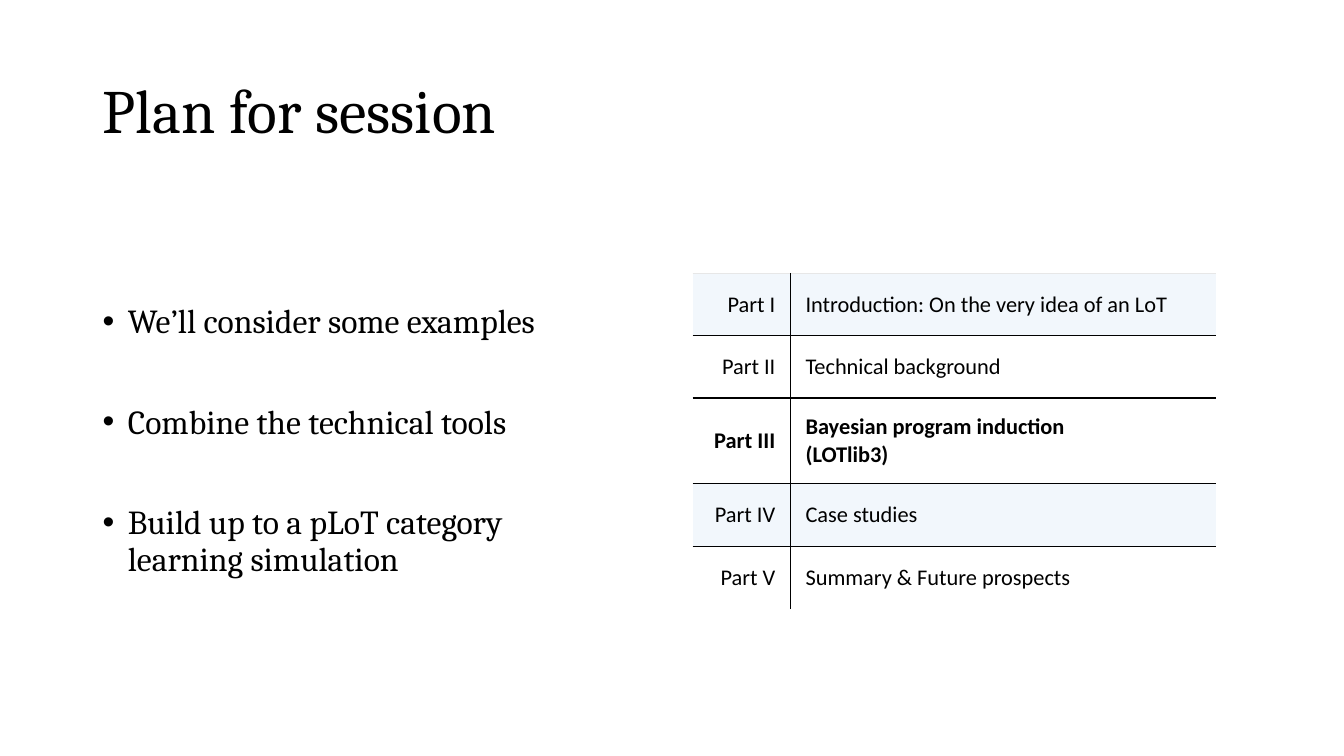
from lxml.etree import SubElement
from pptx import Presentation
from pptx.dml.color import RGBColor
from pptx.enum.text import MSO_ANCHOR, PP_ALIGN
from pptx.oxml.ns import qn
from pptx.util import Inches, Pt

BLACK, WHITE, PALE, GREY = "000000", "FFFFFF", "F2F7FC", "E7E7E7"
TITLE_FONT = {"name": "Cambria", "size": Pt(44), "bold": False}
BODY_FONT = {"name": "Cambria", "size": Pt(24)}
TABLE_FONT = {"name": "Calibri", "size": Pt(16), "bold": False}
MIDDLE = {"word_wrap": True, "vertical_anchor": MSO_ANCHOR.MIDDLE}

BULLETS = [
    "We’ll consider some examples",
    "Combine the technical tools",
    "Build up to a pLoT category learning simulation",
]
PARTS = [
    ("Part I", "Introduction: On the very idea of an LoT", PALE),
    ("Part II", "Technical background", WHITE),
    ("Part III", "Bayesian program induction\n(LOTlib3)", WHITE),
    ("Part IV", "Case studies", PALE),
    ("Part V", "Summary & Future prospects", WHITE),
]
CURRENT_PART = "Part III"


def color(value):
    return RGBColor.from_string(value)


def apply(target, values):
    for name, value in values.items():
        setattr(target, name, value)


def format_font(paragraph, values):
    apply(paragraph.font, values)
    paragraph.font.color.rgb = color(BLACK)


def place(shape, left, top, width, height):
    apply(shape, {
        "left": Inches(left), "top": Inches(top),
        "width": Inches(width), "height": Inches(height),
    })


def add_title(slide, text, box):
    title = slide.shapes.title
    place(title, *box)
    apply(title.text_frame, MIDDLE)
    title.text_frame.text = text
    paragraph = title.text_frame.paragraphs[0]
    apply(paragraph, {"alignment": PP_ALIGN.LEFT, "line_spacing": 0.9})
    format_font(paragraph, TITLE_FONT)


def add_bullets(slide, texts, box):
    frame = slide.shapes.add_textbox(*map(Inches, box)).text_frame
    apply(frame, MIDDLE)
    frame.text = "\n".join(texts)
    for index, paragraph in enumerate(frame.paragraphs):
        paragraph.line_spacing = 0.9
        if index:
            paragraph.space_before = Pt(46)
        properties = paragraph._p.get_or_add_pPr()
        properties.set("marL", str(Inches(0.25)))
        properties.set("indent", str(-Inches(0.25)))
        SubElement(properties, qn("a:buFont"), typeface="Arial")
        SubElement(properties, qn("a:buChar"), char="•")
        format_font(paragraph, BODY_FONT)


def set_borders(cell, borders):
    properties = cell._tc.get_or_add_tcPr()
    for side in "LRTB":
        width, line_color = borders.get(side, (0, None))
        line = SubElement(properties, qn(f"a:ln{side}"), w=str(Pt(width)))
        if line_color:
            fill = SubElement(line, qn("a:solidFill"))
            SubElement(fill, qn("a:srgbClr"), val=line_color)
        else:
            SubElement(line, qn("a:noFill"))


def fill_cell(cell, text, fill, alignment, bold, borders):
    set_borders(cell, borders)
    cell.fill.solid()
    cell.fill.fore_color.rgb = color(fill)
    margins = ("margin_left", "margin_right", "margin_top", "margin_bottom")
    apply(cell, dict.fromkeys(margins, Inches(0.15)))
    cell.vertical_anchor = MSO_ANCHOR.MIDDLE
    cell.text_frame.text = text
    for paragraph in cell.text_frame.paragraphs:
        paragraph.alignment = alignment
        format_font(paragraph, TABLE_FONT | {"bold": bold})


def add_parts_table(slide, parts, box):
    table = slide.shapes.add_table(len(parts), 2, *map(Inches, box)).table
    apply(table, {"first_row": False, "horz_banding": False})
    label_width = 0.97
    table.columns[0].width = Inches(label_width)
    table.columns[1].width = Inches(box[2] - label_width)
    rule = (1, BLACK)
    for index, (label, topic, fill) in enumerate(parts):
        current = label == CURRENT_PART
        table.rows[index].height = Inches(0.85 if current else 0.62)
        borders = {"T": rule if index else (0.3, GREY)}
        if index < len(parts) - 1:
            borders["B"] = rule
        fill_cell(table.cell(index, 0), label, fill, PP_ALIGN.RIGHT,
                  current, borders | {"R": rule})
        fill_cell(table.cell(index, 1), topic, fill, PP_ALIGN.LEFT,
                  current, borders | {"L": rule})


def main():
    presentation = Presentation()
    apply(presentation, {"slide_width": Inches(13.33), "slide_height": Inches(7.5)})
    slide = presentation.slides.add_slide(presentation.slide_layouts[5])
    add_title(slide, "Plan for session", (0.92, 0.4, 11.5, 1.45))
    add_bullets(slide, BULLETS, (0.92, 2, 4.92, 4.76))
    add_parts_table(slide, PARTS, (6.87, 2.71, 5.19, 3.33))
    presentation.save("out.pptx")


if __name__ == "__main__":
    main()
